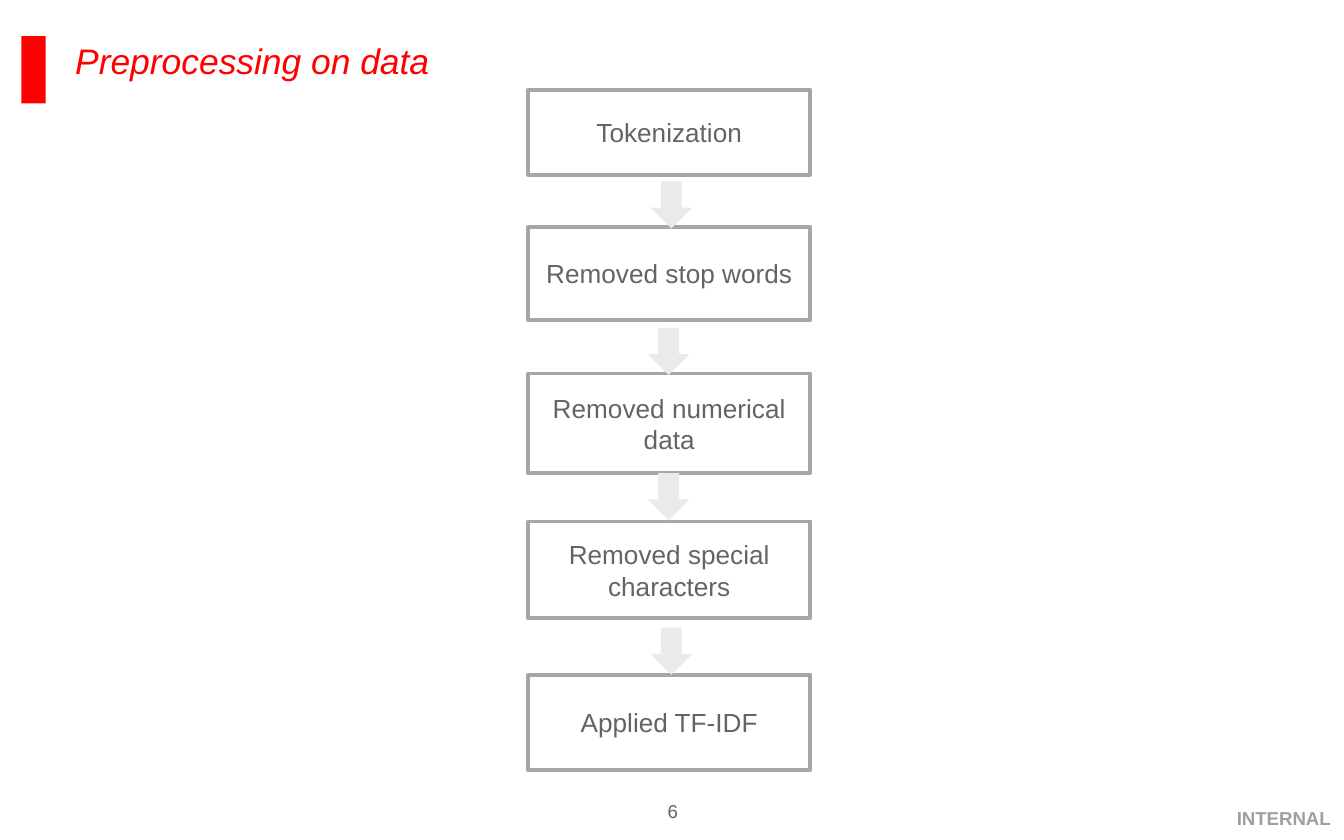
"""Build the slide that shows the text preprocessing steps as a vertical flow."""
from pptx import Presentation
from pptx.dml.color import RGBColor
from pptx.enum.shapes import MSO_SHAPE
from pptx.enum.text import MSO_ANCHOR, PP_ALIGN
from pptx.util import Inches, Pt

COLORS = {"accent": "FF0000", "text": "626469", "label": "9E9FA1",
          "border": "A5A6A9", "arrow": "EAEAEA", "box": "FFFFFF"}
FONT = "Arial"
TITLE = "Preprocessing on data"
PAGE_NUMBER = "6"
CLASSIFICATION = "INTERNAL"

BOX_LEFT, BOX_WIDTH = 3.93, 2.1
ARROW_WIDTH, ARROW_HEIGHT = 0.31, 0.35
STEPS = [
    ("Tokenization", 0.67, 0.63),
    ("Removed stop words", 1.69, 0.69),
    ("Removed numerical data", 2.78, 0.74),
    ("Removed special characters", 3.88, 0.72),
    ("Applied TF-IDF", 5.02, 0.71),
]
ARROWS = [(4.84, 1.35), (4.82, 2.44), (4.82, 3.52), (4.84, 4.67)]


def color(name):
    return RGBColor.from_string(COLORS[name])


def add_filled_shape(slide, kind, bounds, fill, border=None):
    shape = slide.shapes.add_shape(kind, *map(Inches, bounds))
    shape.shadow.inherit = False
    shape.fill.solid()
    shape.fill.fore_color.rgb = color(fill)
    if border:
        shape.line.color.rgb = color(border)
        shape.line.width = Pt(2)
    else:
        shape.line.fill.background()
    return shape


def write(shape, text, size, color_name, align, margins=(0.1, 0.05, 0.1, 0.05),
          anchor=MSO_ANCHOR.MIDDLE, wrap=True, bold=False, italic=False):
    frame = shape.text_frame
    frame.text = text
    frame.word_wrap = wrap
    frame.vertical_anchor = anchor
    (frame.margin_left, frame.margin_top,
     frame.margin_right, frame.margin_bottom) = map(Inches, margins)
    paragraph = frame.paragraphs[0]
    paragraph.alignment = align
    font = paragraph.runs[0].font
    font.name, font.size = FONT, Pt(size)
    font.bold, font.italic = bold, italic
    font.color.rgb = color(color_name)
    return paragraph


def add_text(slide, bounds, *content, **options):
    return write(slide.shapes.add_textbox(*map(Inches, bounds)), *content, **options)


def main():
    presentation = Presentation()
    presentation.slide_width, presentation.slide_height = Inches(10), Inches(6.25)
    slide = presentation.slides.add_slide(presentation.slide_layouts[6])

    add_filled_shape(slide, MSO_SHAPE.RECTANGLE, (0.16, 0.27, 0.18, 0.5), "accent")
    add_text(slide, (4.92, 5.95, 0.17, 0.17), PAGE_NUMBER, 10, "text",
             PP_ALIGN.CENTER, margins=(0, 0, 0, 0), wrap=False)
    add_text(slide, (6.83, 5.92, 3.17, 0.33), CLASSIFICATION, 10, "label",
             PP_ALIGN.RIGHT, bold=True)
    title = add_text(slide, (0.56, 0.13, 9.02, 0.5), TITLE, 19, "accent", PP_ALIGN.LEFT,
                     margins=(0, 0.05, 0, 0.02), anchor=MSO_ANCHOR.BOTTOM, italic=True)
    title.line_spacing = 0.9

    for label, top, height in STEPS:
        box = add_filled_shape(slide, MSO_SHAPE.FLOWCHART_PROCESS,
                               (BOX_LEFT, top, BOX_WIDTH, height), "box", "border")
        write(box, label, 14, "text", PP_ALIGN.CENTER, margins=(0, 0.05, 0, 0.05))
    for left, top in ARROWS:
        add_filled_shape(slide, MSO_SHAPE.DOWN_ARROW,
                         (left, top, ARROW_WIDTH, ARROW_HEIGHT), "arrow")

    presentation.save("out.pptx")


if __name__ == "__main__":
    main()
